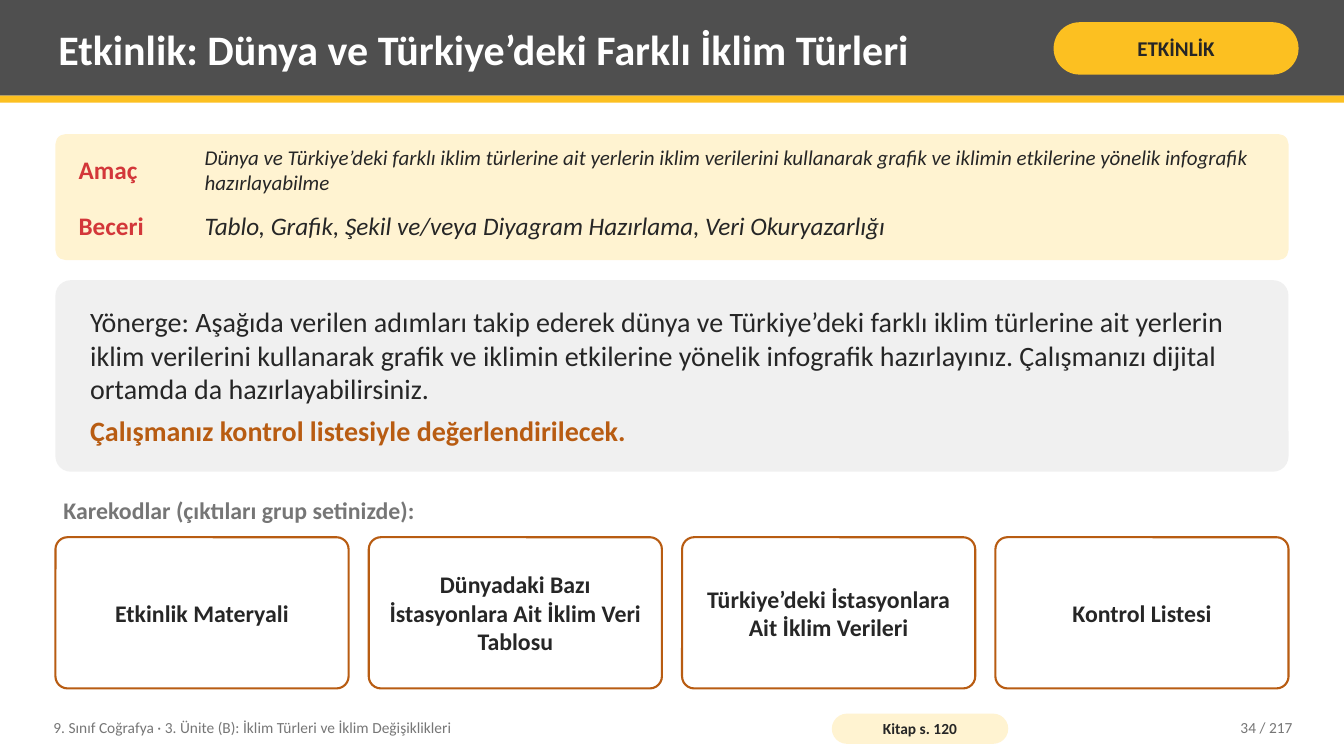
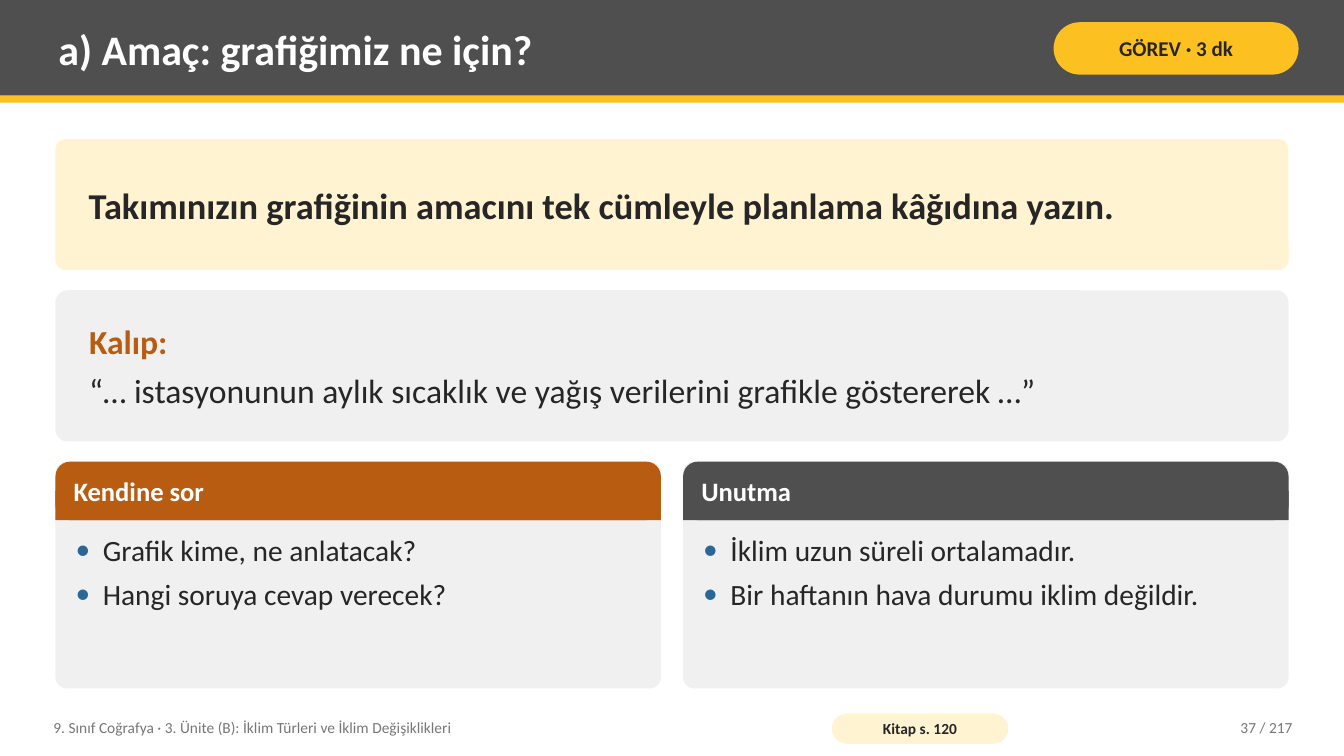
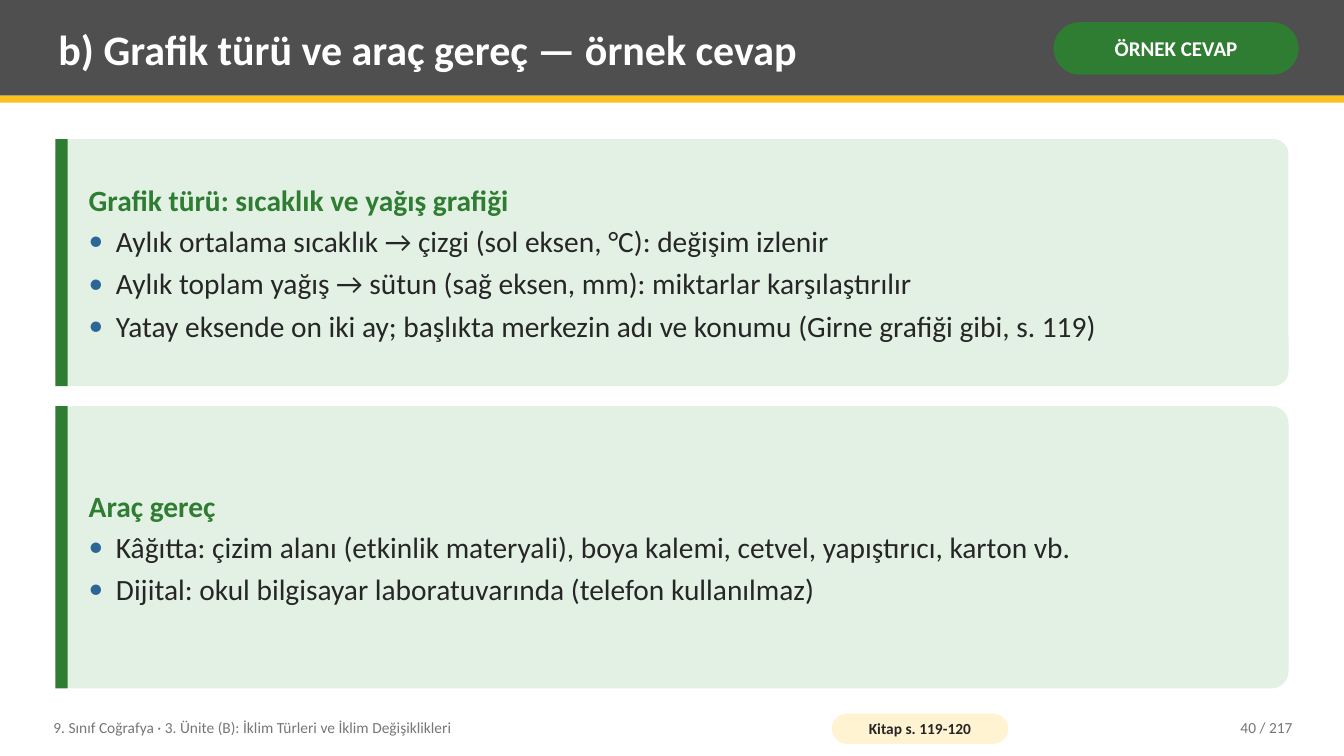
from dataclasses import dataclass
from typing import NamedTuple

import pptx
import pptx.dml.color
import pptx.enum.shapes
import pptx.enum.text
import pptx.oxml
import pptx.oxml.ns
import pptx.util

EMU_PER_PX = 9144  # 100 px to the inch
FONT = "Calibri"
COLORS = {
    "white": "FFFFFF", "ink": "262626", "dark": "4F4F4F", "muted": "767676",
    "yellow": "FCC021", "cream": "FFF3D1", "grey": "F0F0F0", "orange": "B85C12",
    "red": "D3373A", "green": "2E7D32", "mint": "E3F1E4", "blue": "2C6696",
}
SLIDE_W, SLIDE_H = 1333, 750
LEFT, CONTENT_W, GAP = 55, 1223, 20
BOTTOM = 683
BULLET_INDENT = 27
UNIT = "9. Sınıf Coğrafya · 3. Ünite (B): İklim Türleri ve İklim Değişiklikleri"
SLIDE_TOTAL = 217

RECT = pptx.enum.shapes.MSO_SHAPE.RECTANGLE
ROUND = pptx.enum.shapes.MSO_SHAPE.ROUNDED_RECTANGLE
TOP = pptx.enum.text.MSO_ANCHOR.TOP
MIDDLE = pptx.enum.text.MSO_ANCHOR.MIDDLE
ALIGN = pptx.enum.text.PP_ALIGN
TEXT_INSET = (8, 4)
PANEL_INSET = (30, 8)


class Box(NamedTuple):
    x: float
    y: float
    w: float
    h: float


@dataclass(frozen=True)
class Frame:
    """What changes in the header and footer from slide to slide."""
    title: str
    tag: str
    book_pages: str
    number: int
    tag_fill: str = "yellow"
    tag_color: str = "ink"


@dataclass(frozen=True)
class ListCard:
    title: str
    items: tuple[str, ...]
    color: str


@dataclass(frozen=True)
class Goal:
    label: str
    text: str
    size: int
    y: int
    h: int


@dataclass(frozen=True)
class Answer:
    title: str
    items: tuple[str, ...]
    y: int
    h: int


def emu(px: float) -> int:
    return round(px * EMU_PER_PX)


def rgb(name: str) -> pptx.dml.color.RGBColor:
    return pptx.dml.color.RGBColor.from_string(COLORS[name])


def columns(count: int, gap: int, y: int, h: int) -> list[Box]:
    """Split the content width into equal columns."""
    w = (CONTENT_W - gap * (count - 1)) / count
    return [Box(LEFT + i * (w + gap), y, w, h) for i in range(count)]


def set_frame(tf, inset: tuple[int, int], anchor):
    tf.word_wrap = True
    tf.vertical_anchor = anchor
    tf.margin_left = tf.margin_right = emu(inset[0])
    tf.margin_top = tf.margin_bottom = emu(inset[1])
    return tf


def add_box(s, box: Box, fill: str, *, radius: float = 0, line: str = "",
            inset: tuple[int, int] = TEXT_INSET):
    """Draw a filled box, rounded if it has a radius, and return its text frame."""
    sp = s.shapes.add_shape(ROUND if radius else RECT, *map(emu, box))
    if radius:
        sp.adjustments[0] = radius
    sp.shadow.inherit = False
    sp.fill.solid()
    sp.fill.fore_color.rgb = rgb(fill)
    if line:
        sp.line.color.rgb = rgb(line)
        sp.line.width = pptx.util.Pt(1.5)
    else:
        sp.line.fill.background()
    return set_frame(sp.text_frame, inset, MIDDLE)


def add_label(s, box: Box, anchor=MIDDLE):
    """Place an empty text box and return its text frame."""
    return set_frame(s.shapes.add_textbox(*map(emu, box)).text_frame, TEXT_INSET, anchor)


def set_bullet(p) -> None:
    ns = pptx.oxml.ns.nsdecls("a")
    pr = p._p.get_or_add_pPr()
    pr.set("marL", str(emu(BULLET_INDENT)))
    pr.set("indent", str(-emu(BULLET_INDENT)))
    for xml in (
        f'<a:buClr {ns}><a:srgbClr val="{COLORS["blue"]}"/></a:buClr>',
        f'<a:buFont {ns} typeface="{FONT}"/>',
        f'<a:buChar {ns} char="•"/>',
    ):
        pr.append(pptx.oxml.parse_xml(xml))


def write(tf, text: str, *, size: int, color: str = "ink", bold: bool = False,
          italic: bool = False, align=ALIGN.LEFT, after: int = 0,
          bullet: bool = False) -> None:
    """Add one paragraph, filling the first one if it is still empty."""
    p = tf.paragraphs[0] if not tf.paragraphs[0].runs else tf.add_paragraph()
    p.alignment = align
    p.space_after = pptx.util.Pt(after)
    if bullet:
        set_bullet(p)
    r = p.add_run()
    r.text = text
    r.font.name = FONT
    r.font.size = pptx.util.Pt(size)
    r.font.bold = bold
    r.font.italic = italic
    r.font.color.rgb = rgb(color)


def write_bullets(tf, items: tuple[str, ...], after: int) -> None:
    for item in items:
        write(tf, item, size=21, bullet=True, after=0 if item == items[-1] else after)


def add_slide(prs, frame: Frame):
    """Add a blank slide with the title band, tag and footer."""
    s = prs.slides.add_slide(prs.slide_layouts[6])
    add_box(s, Box(0, 0, SLIDE_W, 95), "dark")
    add_box(s, Box(0, 95, SLIDE_W, 7), "yellow")
    write(add_label(s, Box(50, 7, 975, 82)), frame.title, size=30, color="white", bold=True)
    tag = add_box(s, Box(1045, 22, 243, 52), frame.tag_fill, radius=0.5, inset=(5, 2))
    write(tag, frame.tag, size=15, color=frame.tag_color, bold=True, align=ALIGN.CENTER)

    write(add_label(s, Box(45, 704, 760, 36)), UNIT, size=11, color="muted")
    pages = add_box(s, Box(825, 708, 175, 30), "cream", radius=0.5, inset=(4, 0))
    write(pages, f"Kitap s. {frame.book_pages}", size=11, bold=True, align=ALIGN.CENTER)
    write(add_label(s, Box(1130, 704, 160, 36)), f"{frame.number} / {SLIDE_TOTAL}",
          size=11, color="muted", align=ALIGN.RIGHT)
    return s


def add_goal(s, goal: Goal) -> None:
    write(add_label(s, Box(70, goal.y, 125, goal.h)), goal.label,
          size=18, color="red", bold=True)
    write(add_label(s, Box(195, goal.y, 1063, goal.h)), goal.text,
          size=goal.size, italic=True)


def add_list_card(s, box: Box, card: ListCard) -> None:
    x, y, w, h = box
    head_h = 58
    add_box(s, box, "grey", radius=0.05)
    add_box(s, Box(x, y, w, head_h), card.color, radius=0.25)
    add_box(s, Box(x, y + head_h / 2, w, head_h / 2), card.color)
    write(add_label(s, Box(x + 10, y, w - 20, head_h)), card.title,
          size=19, color="white", bold=True)
    body = add_label(s, Box(x + 12, y + head_h + 8, w - 24, h - head_h - 16), TOP)
    write_bullets(body, card.items, after=6)


def add_answer(s, answer: Answer) -> None:
    add_box(s, Box(LEFT, answer.y, CONTENT_W, answer.h), "mint", radius=0.06)
    add_box(s, Box(LEFT, answer.y, 12, answer.h), "green")
    tf = add_label(s, Box(LEFT + 25, answer.y + 6, CONTENT_W - 35, answer.h - 12))
    write(tf, answer.title, size=21, color="green", bold=True, after=4)
    write_bullets(tf, answer.items, after=5)


def build_activity(prs) -> None:
    s = add_slide(prs, Frame("Etkinlik: Dünya ve Türkiye’deki Farklı İklim Türleri",
                             "ETKİNLİK", "120", 34))
    add_box(s, Box(LEFT, 133, CONTENT_W, 125), "cream", radius=0.08)
    goals = (
        Goal("Amaç", "Dünya ve Türkiye’deki farklı iklim türlerine ait yerlerin iklim "
             "verilerini kullanarak grafik ve iklimin etkilerine yönelik infografik "
             "hazırlayabilme", 15, 139, 59),
        Goal("Beceri", "Tablo, Grafik, Şekil ve/veya Diyagram Hazırlama, Veri Okuryazarlığı",
             18, 196, 56),
    )
    for goal in goals:
        add_goal(s, goal)

    task = add_box(s, Box(LEFT, 278, CONTENT_W, 190), "grey", radius=0.08, inset=PANEL_INSET)
    write(task, "Yönerge: Aşağıda verilen adımları takip ederek dünya ve Türkiye’deki farklı "
          "iklim türlerine ait yerlerin iklim verilerini kullanarak grafik ve iklimin "
          "etkilerine yönelik infografik hazırlayınız. Çalışmanızı dijital ortamda da "
          "hazırlayabilirsiniz.", size=20, after=6)
    write(task, "Çalışmanız kontrol listesiyle değerlendirilecek.",
          size=20, color="orange", bold=True)

    write(add_label(s, Box(LEFT, 488, CONTENT_W, 40), TOP),
          "Karekodlar (çıktıları grup setinizde):", size=17, color="muted", bold=True)
    materials = (
        "Etkinlik Materyali",
        "Dünyadaki Bazı İstasyonlara Ait İklim Veri Tablosu",
        "Türkiye’deki İstasyonlara Ait İklim Verileri",
        "Kontrol Listesi",
    )
    for box, name in zip(columns(len(materials), GAP, 533, BOTTOM - 533), materials):
        tf = add_box(s, box, "white", radius=0.08, line="orange", inset=(14, 8))
        write(tf, name, size=17, bold=True, align=ALIGN.CENTER)


def build_purpose(prs) -> None:
    s = add_slide(prs, Frame("a) Amaç: grafiğimiz ne için?", "GÖREV · 3 dk", "120", 37))
    task = add_box(s, Box(LEFT, 138, CONTENT_W, 130), "cream", radius=0.08, inset=PANEL_INSET)
    write(task, "Takımınızın grafiğinin amacını tek cümleyle planlama kâğıdına yazın.",
          size=26, bold=True)
    pattern = add_box(s, Box(LEFT, 288, CONTENT_W, 150), "grey", radius=0.08,
                      inset=PANEL_INSET)
    write(pattern, "Kalıp:", size=24, color="orange", bold=True, after=6)
    write(pattern, "“… istasyonunun aylık sıcaklık ve yağış verilerini grafikle göstererek …”",
          size=24)
    cards = (
        ListCard("Kendine sor", ("Grafik kime, ne anlatacak?", "Hangi soruya cevap verecek?"),
                 "orange"),
        ListCard("Unutma", ("İklim uzun süreli ortalamadır.",
                            "Bir haftanın hava durumu iklim değildir."), "dark"),
    )
    for box, card in zip(columns(len(cards), 22, 458, BOTTOM - 458), cards):
        add_list_card(s, box, card)


def build_sample_answer(prs) -> None:
    s = add_slide(prs, Frame("b) Grafik türü ve araç gereç — örnek cevap", "ÖRNEK CEVAP",
                             "119-120", 40, tag_fill="green", tag_color="white"))
    answers = (
        Answer("Grafik türü: sıcaklık ve yağış grafiği", (
            "Aylık ortalama sıcaklık → çizgi (sol eksen, °C): değişim izlenir",
            "Aylık toplam yağış → sütun (sağ eksen, mm): miktarlar karşılaştırılır",
            "Yatay eksende on iki ay; başlıkta merkezin adı ve konumu "
            "(Girne grafiği gibi, s. 119)",
        ), 138, 245),
        Answer("Araç gereç", (
            "Kâğıtta: çizim alanı (etkinlik materyali), boya kalemi, cetvel, yapıştırıcı, "
            "karton vb.",
            "Dijital: okul bilgisayar laboratuvarında (telefon kullanılmaz)",
        ), 403, 280),
    )
    for answer in answers:
        add_answer(s, answer)


def main() -> None:
    prs = pptx.Presentation()
    prs.slide_width, prs.slide_height = emu(SLIDE_W), emu(SLIDE_H)
    build_activity(prs)
    build_purpose(prs)
    build_sample_answer(prs)
    prs.save("out.pptx")


if __name__ == "__main__":
    main()
